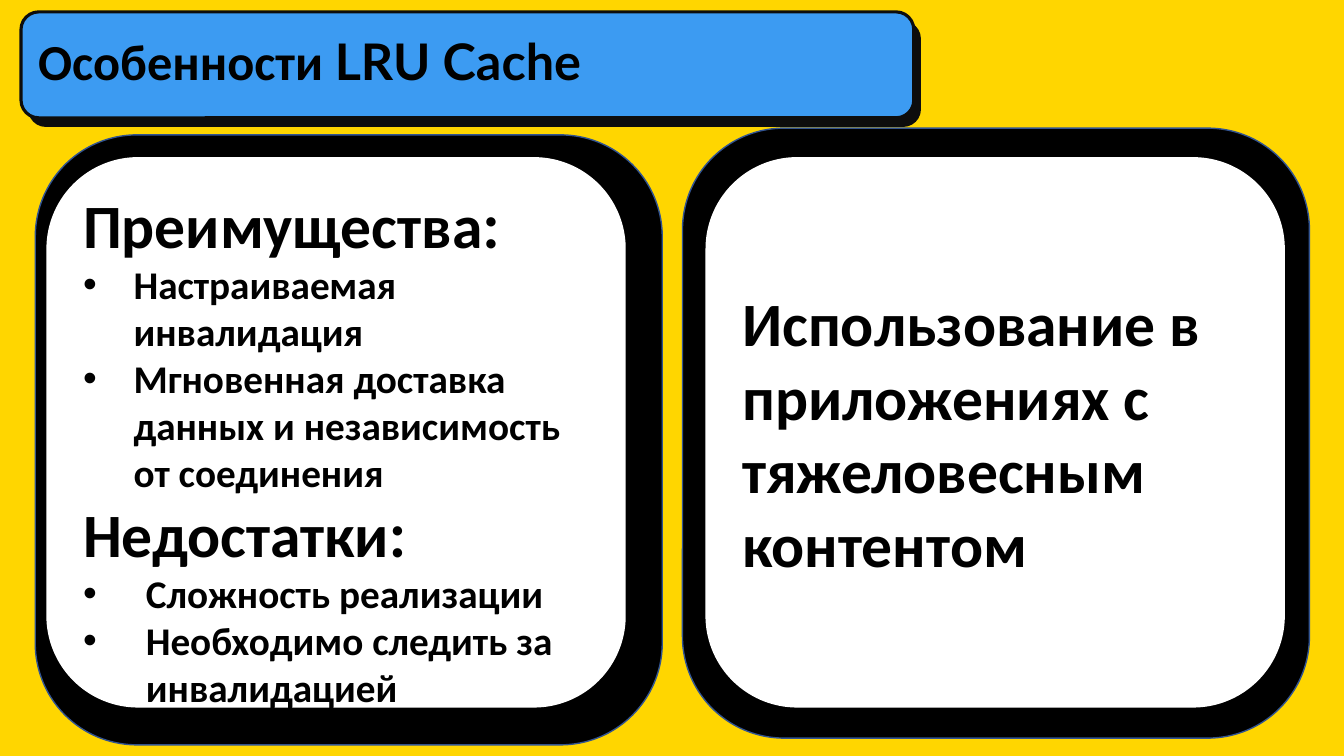
"""Build the slide on the strengths, weaknesses and use of an LRU cache."""
from dataclasses import dataclass

from lxml.etree import Element
from pptx import Presentation
from pptx.dml.color import RGBColor
from pptx.enum.shapes import MSO_SHAPE
from pptx.enum.text import MSO_ANCHOR, PP_ALIGN
from pptx.oxml.ns import qn
from pptx.util import Cm, Pt


@dataclass(frozen=True)
class Theme:
    background: str = "FFD600"
    title: str = "3C9BF2"
    shade: str = "0D0D0D"
    black: str = "000000"
    white: str = "FFFFFF"
    edge: str = "325491"
    font: str = "Calibri"
    accent_font: str = "Lato"
    title_size: int = 36
    heading_size: int = 44
    item_size: int = 28


theme = Theme()


def add_box(left, top, width, height, fill, line=None, weight=1):
    sp = s.shapes.add_shape(MSO_SHAPE.ROUNDED_RECTANGLE, Cm(left), Cm(top), Cm(width), Cm(height))
    sp.shadow.inherit = False
    sp.fill.solid()
    sp.fill.fore_color.rgb = RGBColor.from_string(fill)
    if line:
        sp.line.color.rgb = RGBColor.from_string(line)
        sp.line.width = Pt(weight)
    else:
        sp.line.fill.background()
    return sp


def write(tf, paragraphs):
    tf.word_wrap = True
    for i, (text, accent, size, indent) in enumerate(paragraphs):
        p = tf.paragraphs[0] if i == 0 else tf.add_paragraph()
        p.alignment = PP_ALIGN.LEFT
        p.font.name = theme.font
        p.font.size = Pt(size)
        p.font.bold = True
        p.font.color.rgb = RGBColor.from_string(theme.black)
        p.add_run().text = text
        if accent:
            r = p.add_run()
            r.text = accent
            r.font.name = theme.accent_font
        if indent:
            pPr = p._p.get_or_add_pPr()
            pPr.set("marL", str(Cm(indent)))
            pPr.set("indent", str(-Cm(indent)))
            font = Element(qn("a:buFont"), typeface="Arial")
            char = Element(qn("a:buChar"), char="•")
            pPr.insert(0, font)
            pPr.insert(1, char)


prs = Presentation()
prs.slide_width, prs.slide_height = Cm(33.87), Cm(19.05)
s = prs.slides.add_slide(prs.slide_layouts[6])
s.background.fill.solid()
s.background.fill.fore_color.rgb = RGBColor.from_string(theme.background)

add_box(0.71, 0.53, 22.5, 2.67, theme.shade)
add_box(0.53, 0.3, 22.5, 2.67, theme.title, theme.shade, 2.25)
title = s.shapes.add_textbox(Cm(0.71), Cm(0.64), Cm(23.04), Cm(1.8))
write(title.text_frame, [("Особенности ", "LRU Cache", theme.title_size, 0)])

features = [
    ("Преимущества", ":", theme.heading_size, 0),
    ("Настраиваемая инвалидация", "", theme.item_size, 1.27),
    ("Мгновенная доставка данных и независимость от соединения", "", theme.item_size, 1.27),
    ("Недостатки", ":", theme.heading_size, 0),
    ("Сложность реализации", "", theme.item_size, 1.58),
    ("Необходимо следить за инвалидацией", "", theme.item_size, 1.58),
]
usage = [("Использование в приложениях с тяжеловесным контентом", "", theme.heading_size, 0)]

cards = [
    (0.89, 3.4, 1.17, features, 0.95),
    (17.2, 3.23, 17.78, usage, 0.13),
]
for frame_left, frame_top, card_left, paragraphs, inset in cards:
    add_box(frame_left, frame_top, 15.8, 15.37, theme.black, theme.edge)
    card = add_box(card_left, 3.96, 14.6, 13.87, theme.white)
    tf = card.text_frame
    tf.vertical_anchor = MSO_ANCHOR.MIDDLE
    tf.margin_top = Cm(inset)
    tf.margin_bottom = Cm(0.13)
    write(tf, paragraphs)

prs.save("out.pptx")
